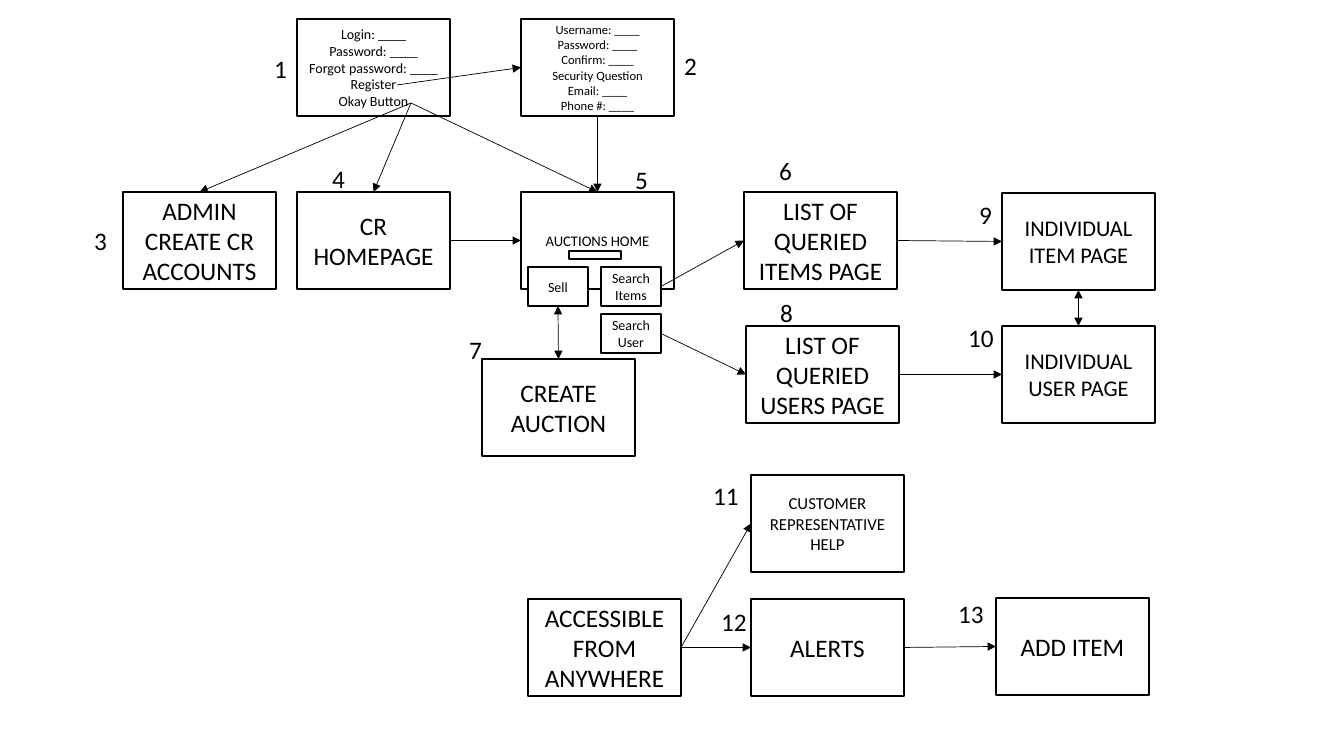
from pptx import Presentation
from pptx.dml.color import RGBColor
from pptx.enum.shapes import MSO_CONNECTOR, MSO_SHAPE
from pptx.enum.text import MSO_ANCHOR, MSO_AUTO_SIZE, PP_ALIGN
from pptx.oxml.ns import qn
from pptx.util import Emu, Pt
from lxml import etree

RECTANGLE = MSO_SHAPE.RECTANGLE
STRAIGHT = MSO_CONNECTOR.STRAIGHT
MIDDLE, CENTER = MSO_ANCHOR.MIDDLE, PP_ALIGN.CENTER
FIT_SHAPE = MSO_AUTO_SIZE.SHAPE_TO_FIT_TEXT
TOP, LEFT, BOTTOM, RIGHT = range(4)

THEME = {
    "font": "Calibri",
    "ink": RGBColor(0, 0, 0),
    "paper": RGBColor(255, 255, 255),
    "title": 18, "detail": 16, "help": 12, "home": 10.5, "form": 10, "signup": 9,
    "border": 1, "arrow": 0.5,
}
SCALE = 914400 / 100.8
PAGE_SIZE, BUTTON_SIZE, FIELD_SIZE = (153, 97), (60, 39), (52, 8)


def px(*lengths):
    return [Emu(round(length * SCALE)) for length in lengths]


def write(shape, text, size, **frame_format):
    frame = shape.text_frame
    frame.text = text
    for name, value in frame_format.items():
        setattr(frame, name, value)
    for para in frame.paragraphs:
        para.alignment = CENTER
        for span in para.runs:
            span.font.name = THEME["font"]
            span.font.size = Pt(THEME[size])
            span.font.color.rgb = THEME["ink"]


deck = Presentation()
deck.slide_width, deck.slide_height = px(1344, 756)
page = deck.slides.add_slide(deck.slide_layouts[6])

BOXES = [
    ("login", 297, 19, PAGE_SIZE, "form",
     "Login: ____\nPassword: ____\nForgot password: ____\nRegister\nOkay Button"),
    ("signup", 521, 19, PAGE_SIZE, "signup",
     "Username: ____\nPassword: ____\nConfirm: ____\nSecurity Question\nEmail: ____\nPhone #: ____"),
    ("admin", 123, 192, PAGE_SIZE, "title", "ADMIN CREATE CR ACCOUNTS"),
    ("cr home", 297, 192, PAGE_SIZE, "title", "CR HOMEPAGE"),
    ("auctions", 521, 192, PAGE_SIZE, "home", "AUCTIONS HOME"),
    ("items", 744, 192, PAGE_SIZE, "title", "LIST OF QUERIED ITEMS PAGE"),
    ("item", 1002, 193, PAGE_SIZE, "detail", "INDIVIDUAL ITEM PAGE"),
    ("users", 746, 326, PAGE_SIZE, "title", "LIST OF QUERIED USERS PAGE"),
    ("user", 1002, 326, PAGE_SIZE, "detail", "INDIVIDUAL USER PAGE"),
    ("create", 482, 359, PAGE_SIZE, "title", "CREATE AUCTION"),
    ("help", 751, 475, PAGE_SIZE, "help", "CUSTOMER REPRESENTATIVE\nHELP"),
    ("anywhere", 528, 599, PAGE_SIZE, "title", "ACCESSIBLE FROM ANYWHERE"),
    ("alerts", 751, 599, PAGE_SIZE, "title", "ALERTS"),
    ("add item", 996, 598, PAGE_SIZE, "title", "ADD ITEM"),
    ("search field", 569, 251, FIELD_SIZE, None, None),
    ("sell", 528, 267, BUTTON_SIZE, "form", "Sell"),
    ("search items", 601, 267, BUTTON_SIZE, "form", "Search\nItems"),
    ("search user", 601, 314, BUTTON_SIZE, "form", "Search\nUser"),
]
boxes = {}
for name, left, top, size, type_size, text in BOXES:
    box = page.shapes.add_shape(RECTANGLE, *px(left, top, *size))
    box.shadow.inherit = False
    box.fill.solid()
    box.fill.fore_color.rgb = THEME["paper"]
    box.line.color.rgb = THEME["ink"]
    box.line.width = Pt(THEME["border"])
    if text:
        write(box, text, type_size, word_wrap=True, vertical_anchor=MIDDLE)
    boxes[name] = box

REGISTER, OKAY = (397, 85), (411, 103)
ONE_WAY, TWO_WAY = ["tailEnd"], ["headEnd", "tailEnd"]
ARROWS = [
    (REGISTER, None, "signup", LEFT, ONE_WAY),
    (OKAY, None, "admin", TOP, ONE_WAY),
    (OKAY, None, "cr home", TOP, ONE_WAY),
    (OKAY, None, "auctions", TOP, ONE_WAY),
    ("signup", BOTTOM, "auctions", TOP, ONE_WAY),
    ("cr home", RIGHT, "auctions", LEFT, ONE_WAY),
    ("search items", RIGHT, "items", LEFT, ONE_WAY),
    ("search user", RIGHT, "users", LEFT, ONE_WAY),
    ("items", RIGHT, "item", LEFT, ONE_WAY),
    ("users", RIGHT, "user", LEFT, ONE_WAY),
    ("sell", BOTTOM, "create", TOP, TWO_WAY),
    ("item", BOTTOM, "user", TOP, TWO_WAY),
    ("anywhere", RIGHT, "help", LEFT, ONE_WAY),
    ("anywhere", RIGHT, "alerts", LEFT, ONE_WAY),
    ("alerts", RIGHT, "add item", LEFT, ONE_WAY),
]
for start, start_side, end, end_side, heads in ARROWS:
    origin = start if start_side is None else (0, 0)
    arrow = page.shapes.add_connector(STRAIGHT, *px(*origin, *origin))
    if start_side is not None:
        arrow.begin_connect(boxes[start], start_side)
    arrow.end_connect(boxes[end], end_side)
    arrow.line.color.rgb = THEME["ink"]
    arrow.line.width = Pt(THEME["arrow"])
    outline = arrow.line._get_or_add_ln()
    for head in heads:
        etree.SubElement(outline, qn("a:" + head), type="triangle")
    etree.SubElement(arrow._element.spPr, qn("a:effectLst"))

NUMBER_PLACES = [
    (264, 48), (674, 45), (84, 220), (322, 158), (625, 159), (769, 150), (459, 329),
    (770, 292), (969, 194), (958, 317), (703, 475), (711, 601), (948, 593),
]
for number, place in enumerate(NUMBER_PLACES, 1):
    width = 33 if number < 10 else 46
    label = page.shapes.add_textbox(*px(*place, width, 40))
    write(label, str(number), "title", word_wrap=False, auto_size=FIT_SHAPE)

deck.save("out.pptx")
